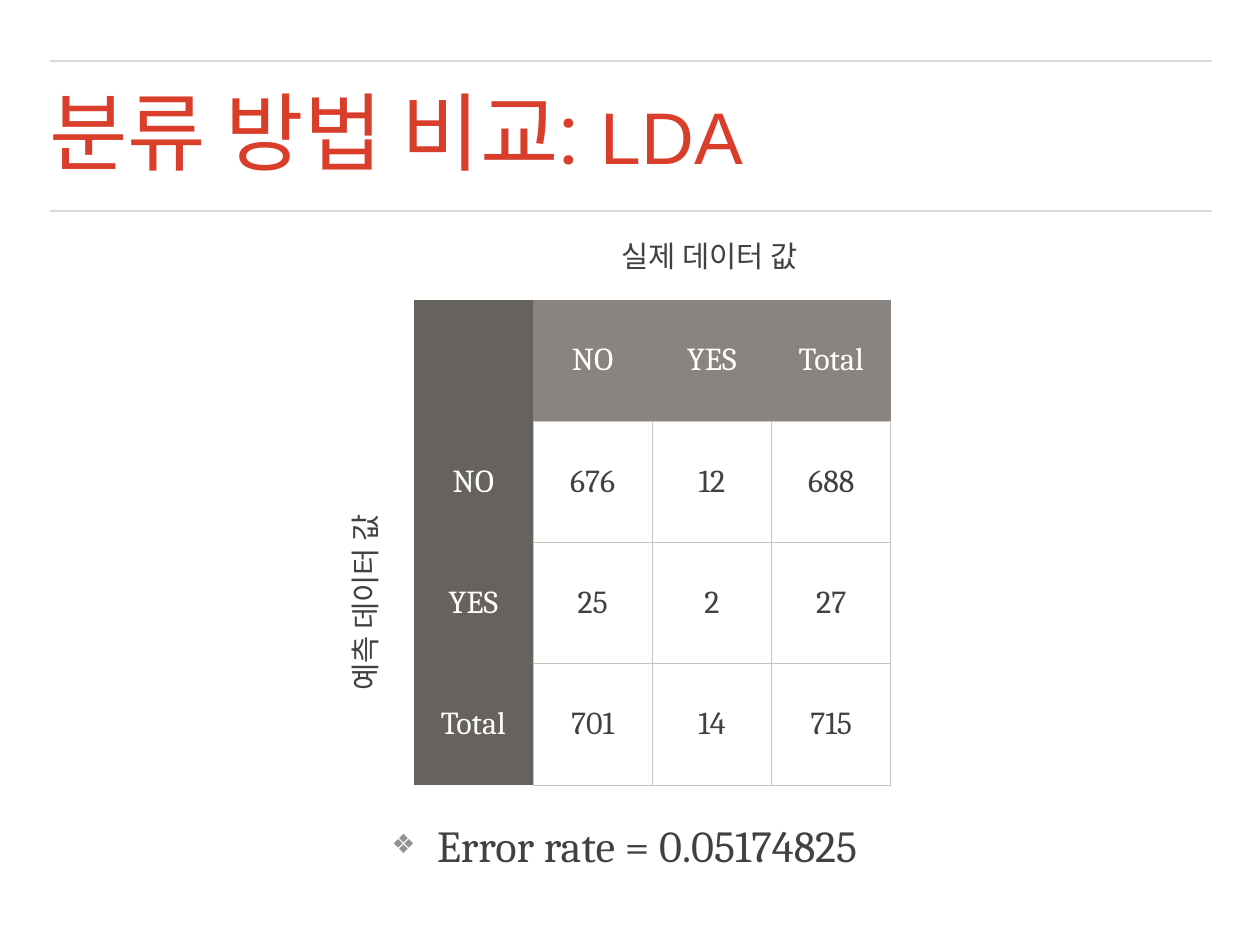
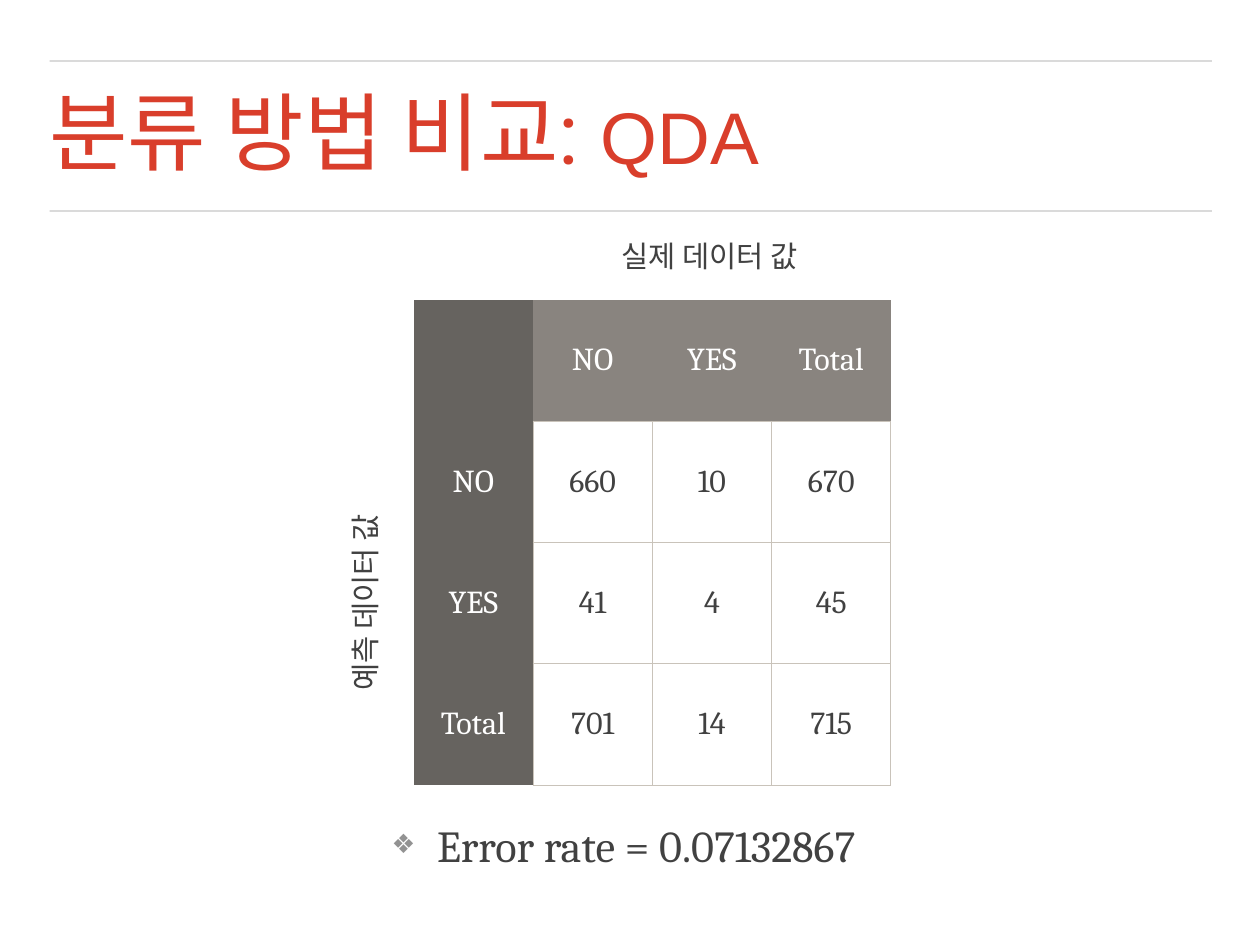
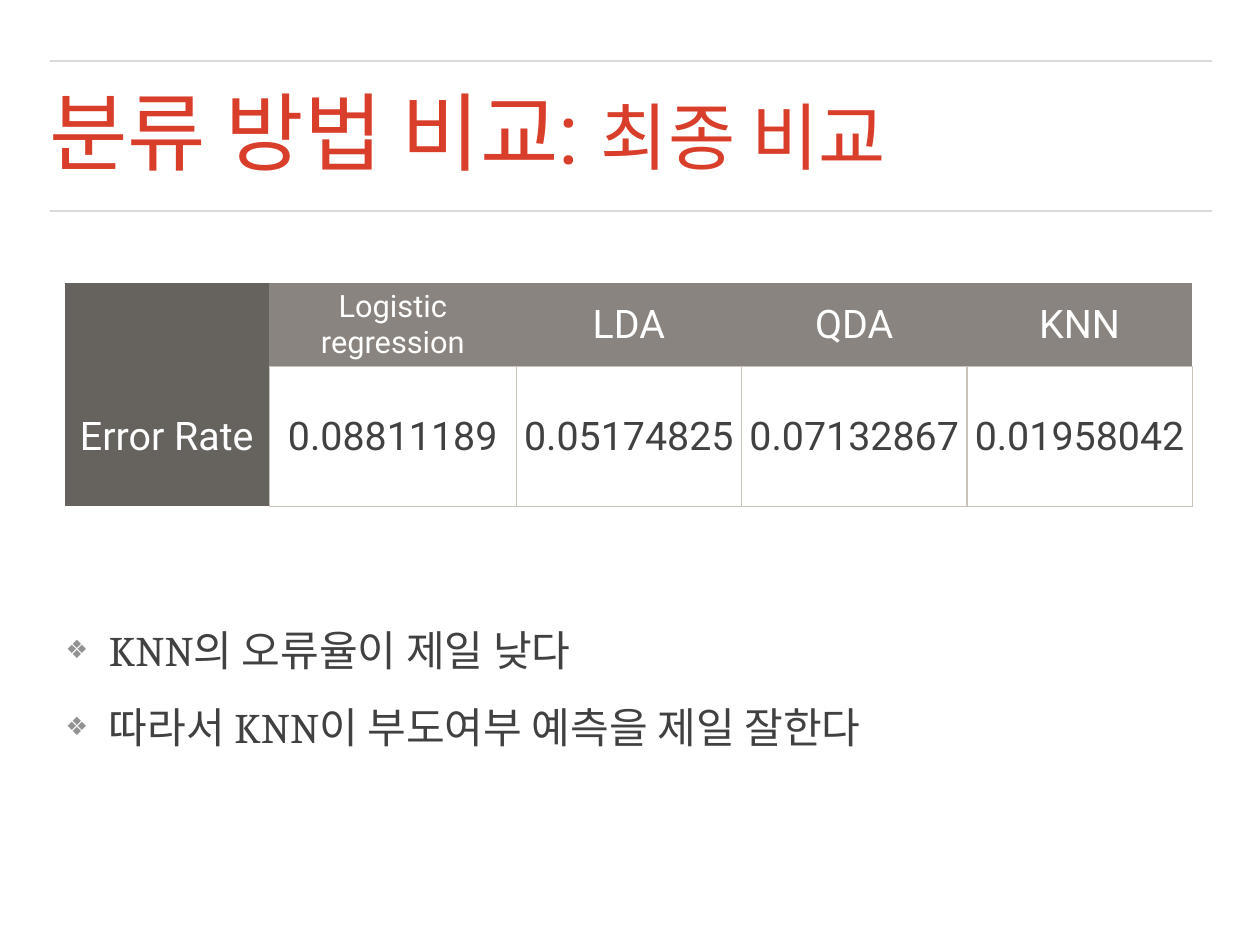
from collections import namedtuple

from lxml import etree
from pptx import Presentation
from pptx.dml.color import RGBColor
from pptx.enum.shapes import MSO_CONNECTOR
from pptx.enum.text import MSO_ANCHOR, PP_ALIGN
from pptx.oxml.ns import qn
from pptx.util import Cm, Pt

STRAIGHT = MSO_CONNECTOR.STRAIGHT
MIDDLE = MSO_ANCHOR.MIDDLE
CENTER = PP_ALIGN.CENTER

COLORS = {
    "title": "D93E2B",
    "text": "414141",
    "bullet": "929292",
    "rule": "444444",
    "column_header": "89847F",
    "row_header": "66635F",
    "header_text": "FFFFFF",
    "grid": "C9C3BA",
}
BODY_FONT = "Cambria"
TITLE_FONT = "Roboto"
TITLE_RUN_FONT = "Arial"
INSET = 0.15

Box = namedtuple("Box", "left top width height")
PAGE_SIZE = (36.12, 27.09)
TITLE_BAND = Box(1.42, 1.75, 33.32, 4.3)
MATRIX_REGION = Box(7.5, 6.6, 19.76, 19.1)
SUMMARY_TABLE = Box(1.85, 8.1, 32.33, 6.37)
SUMMARY_NOTES = Box(1.88, 17.68, 33.3, 4.09)


def add_child(parent, tag, **attributes):
    return etree.SubElement(parent, qn(tag), attributes)


def style_font(font, color, size=None, name=None):
    font.color.rgb = RGBColor.from_string(COLORS[color])
    if size:
        font.size = Pt(size)
    if name:
        font.name = name


def add_text_box(page, box, inset=0, wrap=True):
    shape = page.shapes.add_textbox(*(Cm(length) for length in box))
    frame = shape.text_frame
    frame.word_wrap = wrap
    frame.vertical_anchor = MIDDLE
    frame.margin_left = frame.margin_right = Cm(inset)
    frame.margin_top = frame.margin_bottom = Cm(inset)
    return shape


def add_rule(page, left, top, width):
    rule = page.shapes.add_connector(
        STRAIGHT, Cm(left), Cm(top), Cm(left + width), Cm(top))
    rule.line.width = Pt(1)
    rule.line.color.rgb = RGBColor.from_string(COLORS["rule"])
    color = rule.line._ln.find(".//" + qn("a:srgbClr"))
    add_child(color, "a:alpha", val="30000")
    add_child(rule._element.spPr, "a:effectLst")


def add_title(page, box, method):
    for top in (box.top, box.top + box.height):
        add_rule(page, box.left, top, box.width)
    title_box = Box(box.left, box.top + 0.49, box.width, 3.38)
    para = add_text_box(page, title_box).text_frame.paragraphs[0]
    para.line_spacing = 0.9
    para.space_before = Pt(15)
    for text, size, name in (("분류 방법 비교: ", 69.3, TITLE_FONT),
                             (method, 59.4, TITLE_RUN_FONT)):
        span = para.add_run()
        span.text = text
        style_font(span.font, "title", size, name)


def add_label(page, box, text, rotation=0, wrap=True):
    label = add_text_box(page, box, INSET, wrap)
    label.rotation = rotation
    para = label.text_frame.paragraphs[0]
    para.text = text
    para.alignment = CENTER
    style_font(para.font, "text", 24, BODY_FONT)


def add_bullets(page, box, lines, size, indent, gap):
    frame = add_text_box(page, box).text_frame
    for index, line in enumerate(lines):
        para = frame.add_paragraph() if index else frame.paragraphs[0]
        para.text = line
        para.space_before = Pt(gap)
        properties = para._p.get_or_add_pPr()
        properties.set("marL", str(Cm(indent)))
        properties.set("indent", str(-Cm(indent)))
        color = add_child(properties, "a:buClr")
        add_child(color, "a:srgbClr", val=COLORS["bullet"])
        add_child(properties, "a:buSzPct", val="60000")
        add_child(properties, "a:buFont", typeface="Arial")
        add_child(properties, "a:buChar", char="❖")
        style_font(para.font, "text", size, BODY_FONT)


def set_borders(cell, drawn_sides):
    properties = cell._tc.get_or_add_tcPr()
    for side in "LRTB":
        line = add_child(properties, f"a:ln{side}", w=str(Pt(1)))
        if side in drawn_sides:
            fill = add_child(line, "a:solidFill")
            add_child(fill, "a:srgbClr", val=COLORS["grid"])
        else:
            add_child(line, "a:noFill")


def style_cell(cell, is_column_header, is_row_header):
    cell.vertical_anchor = MIDDLE
    cell.margin_left = cell.margin_right = Cm(INSET)
    cell.margin_top = cell.margin_bottom = Cm(INSET)
    if is_row_header:
        fill, sides = "row_header", "" if is_column_header else "R"
    elif is_column_header:
        fill, sides = "column_header", "B"
    else:
        fill, sides = None, "LRTB"
    set_borders(cell, sides)
    if fill:
        cell.fill.solid()
        cell.fill.fore_color.rgb = RGBColor.from_string(COLORS[fill])
    else:
        cell.fill.background()
    return "header_text" if fill else "text"


def add_grid(page, box, rows, widths, heights, font, size, small=None):
    small = small or {}
    frame = page.shapes.add_table(
        len(rows), len(rows[0]), *(Cm(length) for length in box))
    table = frame.table
    table.first_row = table.horz_banding = False
    for column, width in zip(table.columns, widths):
        column.width = Cm(width)
    for row, height in zip(table.rows, heights):
        row.height = Cm(height)
    for row_index, values in enumerate(rows):
        for column_index, value in enumerate(values):
            cell = table.cell(row_index, column_index)
            color = style_cell(cell, row_index == 0, column_index == 0)
            para = cell.text_frame.paragraphs[0]
            para.text = value
            para.alignment = CENTER
            style_font(para.font, color, small.get(value, size), font)


def add_confusion_matrix(page, box, counts, error_rate):
    names = ("NO", "YES", "Total")
    rows = [("", *names)]
    rows += [(name, *map(str, line)) for name, line in zip(names, counts)]
    column_width, row_height = 3.42, 3.48
    grid = Box(box.left + 4.36, box.top + 1.99,
               4 * column_width, 4 * row_height)
    add_bullets(page, Box(box.left + 3.73, box.top + 16.13, 16.03, 2.97),
                [f"Error rate = {error_rate}"], 36, 1.3, 24)
    add_grid(page, grid, rows, [column_width] * 4, [row_height] * 4,
             BODY_FONT, 26)
    add_label(page, Box(box.left + 8.43, box.top, 8.81, 1.45),
              "실제 데이터 값")
    add_label(page, Box(box.left + 0.04, box.top + 9.94, 5.82, 1.45),
              "예측 데이터 값", rotation=270, wrap=False)


def add_summary(page, table_box, notes_box):
    rows = [
        ("", "Logistic regression", "LDA", "QDA", "KNN"),
        ("Error Rate", "0.08811189", "0.05174825", "0.07132867",
         "0.01958042"),
    ]
    add_grid(page, table_box, rows, (5.87, 7.08, 6.46, 6.46, 6.46),
             (2.37, 4), TITLE_FONT, 32, {"Logistic regression": 25})
    add_bullets(page, notes_box,
                ["KNN의 오류율이 제일 낮다",
                 "따라서 KNN이 부도여부 예측을 제일 잘한다"],
                34.2, 1.24, 22)


def add_page(deck, method):
    page = deck.slides.add_slide(deck.slide_layouts[6])
    add_title(page, TITLE_BAND, method)
    return page


def main():
    deck = Presentation()
    deck.slide_width, deck.slide_height = map(Cm, PAGE_SIZE)
    matrices = (
        ("LDA", ((676, 12, 688), (25, 2, 27), (701, 14, 715)), "0.05174825"),
        ("QDA", ((660, 10, 670), (41, 4, 45), (701, 14, 715)), "0.07132867"),
    )
    for method, counts, error_rate in matrices:
        page = add_page(deck, method)
        add_confusion_matrix(page, MATRIX_REGION, counts, error_rate)
    add_summary(add_page(deck, "최종 비교"), SUMMARY_TABLE, SUMMARY_NOTES)
    deck.save("out.pptx")


if __name__ == "__main__":
    main()
